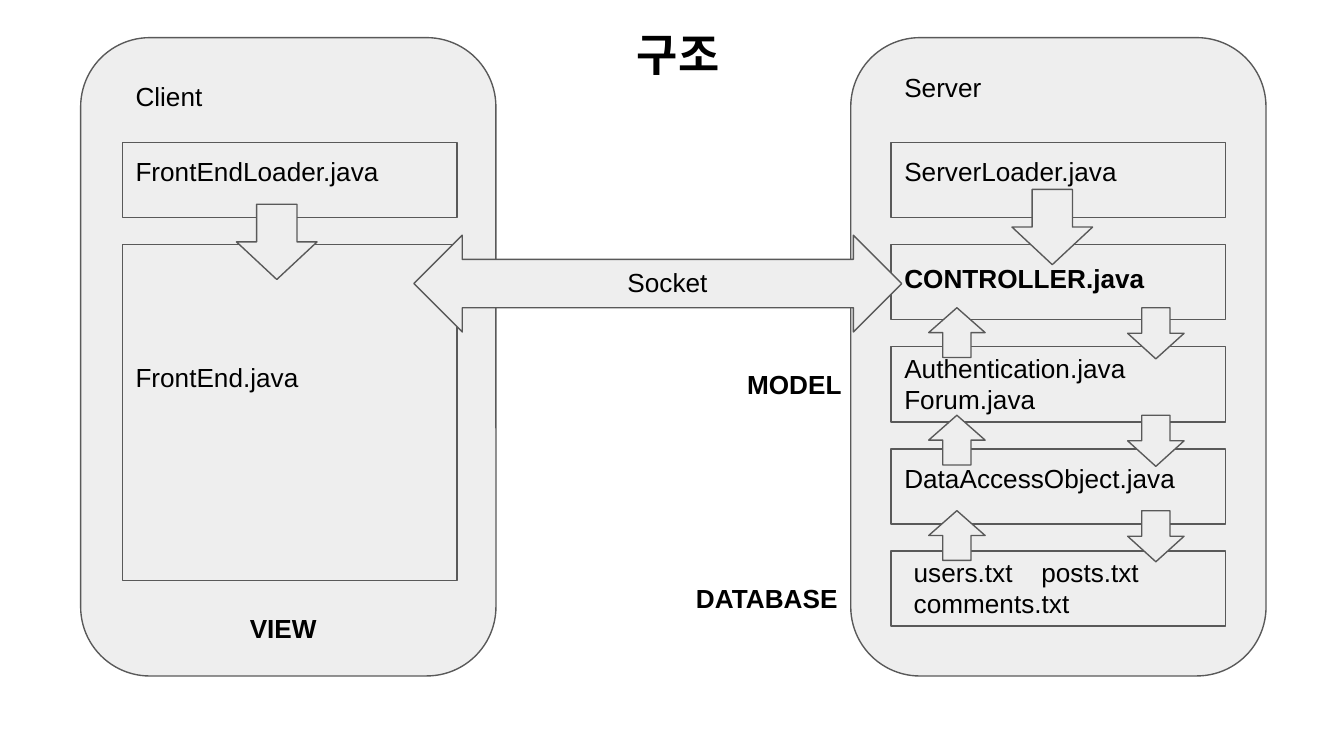
import pptx
import pptx.util
import pptx.dml.color
import pptx.enum.shapes
import pptx.enum.text
from dataclasses import dataclass
from lxml import etree

Inches = pptx.util.Inches
Pt = pptx.util.Pt
RGBColor = pptx.dml.color.RGBColor
SHAPE = pptx.enum.shapes.MSO_SHAPE


@dataclass(frozen=True)
class Theme:
    font: str = "Arial"
    fill: str = "EEEEEE"
    outline: str = "595959"
    ink: str = "000000"
    body_size: int = 14
    title_size: int = 24
    line_width: float = 0.75
    inset: float = 0.1


class Diagram:
    def __init__(self, slide, theme):
        self.slide = slide
        self.theme = theme

    def block(self, kind, left, top, width, height):
        shape = self.slide.shapes.add_shape(
            kind, Inches(left), Inches(top), Inches(width), Inches(height))
        shape.shadow.inherit = False
        shape.fill.solid()
        shape.fill.fore_color.rgb = RGBColor.from_string(self.theme.fill)
        shape.line.color.rgb = RGBColor.from_string(self.theme.outline)
        shape.line.width = Pt(self.theme.line_width)

    def label(self, text, left, top, height=0.44, bold=False, size=None, tab=None):
        """Add a left-aligned label; tab is an optional tab stop in inches."""
        box = self.slide.shapes.add_textbox(
            Inches(left), Inches(top), Inches(BOX_WIDTH), Inches(height))
        frame = box.text_frame
        frame.word_wrap = True
        frame.auto_size = pptx.enum.text.MSO_AUTO_SIZE.SHAPE_TO_FIT_TEXT
        inset = Inches(self.theme.inset)
        frame.margin_left = frame.margin_right = inset
        frame.margin_top = frame.margin_bottom = inset
        paragraph = frame.paragraphs[0]
        run = paragraph.add_run()
        run.text = text
        run.font.name = self.theme.font
        run.font.size = Pt(size or self.theme.body_size)
        run.font.bold = bold
        run.font.color.rgb = RGBColor.from_string(self.theme.ink)
        if tab:
            namespace = "{http://schemas.openxmlformats.org/drawingml/2006/main}"
            stops = etree.SubElement(
                paragraph._p.get_or_add_pPr(), namespace + "tabLst")
            etree.SubElement(stops, namespace + "tab",
                             pos=str(Inches(tab)), algn="l")


BOX_WIDTH, BOX_HEIGHT = 2.49, 0.56
FIRST_ROW, ROW_STEP = 1.06, 0.76
CLIENT_LEFT, SERVER_LEFT = 0.91, 6.63


def main():
    presentation = pptx.Presentation()
    presentation.slide_width = Inches(10)
    presentation.slide_height = Inches(10 * 9 / 16)
    theme = Theme()
    diagram = Diagram(
        presentation.slides.add_slide(presentation.slide_layouts[6]), theme)
    rows = [FIRST_ROW + ROW_STEP * i for i in range(5)]

    for panel_left in (0.6, 6.33):
        diagram.block(SHAPE.ROUNDED_RECTANGLE, panel_left, 0.28, 3.09, 4.75)

    diagram.block(SHAPE.RECTANGLE, CLIENT_LEFT, rows[0], BOX_WIDTH, BOX_HEIGHT)
    diagram.block(SHAPE.RECTANGLE, CLIENT_LEFT, rows[1], BOX_WIDTH, 2.5)
    for top in rows:
        diagram.block(SHAPE.RECTANGLE, SERVER_LEFT, top, BOX_WIDTH, BOX_HEIGHT)

    diagram.label("Client", CLIENT_LEFT, 0.5)
    diagram.label("FrontEndLoader.java", CLIENT_LEFT, rows[0])
    diagram.label("FrontEnd.java", CLIENT_LEFT, 2.59)
    diagram.label("Server", SERVER_LEFT, 0.43)
    diagram.label("ServerLoader.java", SERVER_LEFT, rows[0])
    diagram.label("Authentication.java Forum.java", SERVER_LEFT, 2.52, 0.67)
    diagram.label("DataAccessObject.java", SERVER_LEFT, rows[3])
    diagram.label("users.txt\tposts.txt comments.txt", 6.7, 4.04, 0.67, tab=0.95)

    for loader_left, loader_top in ((1.76, 1.52), (7.53, 1.41)):
        diagram.block(SHAPE.DOWN_ARROW, loader_left, loader_top, 0.6, 0.56)
    diagram.block(SHAPE.LEFT_RIGHT_ARROW, 3.08, 1.75, 3.63, 0.72)
    for exchange_top in (2.29, 3.09, 3.8):
        diagram.block(SHAPE.UP_ARROW, 6.91, exchange_top, 0.42, 0.37)
        diagram.block(SHAPE.DOWN_ARROW, 8.39, exchange_top, 0.42, 0.38)

    diagram.label("Socket", 4.57, 1.88)
    for role, left, top in (
        ("VIEW", 1.76, 4.46),
        ("MODEL", 5.46, 2.64),
        ("CONTROLLER.java", SERVER_LEFT, 1.85),
        ("DATABASE", 5.08, 4.23),
    ):
        diagram.label(role, left, top, bold=True)
    diagram.label("구조", 4.64, 0.1, 0.61, bold=True, size=theme.title_size)

    presentation.save("out.pptx")


if __name__ == "__main__":
    main()
